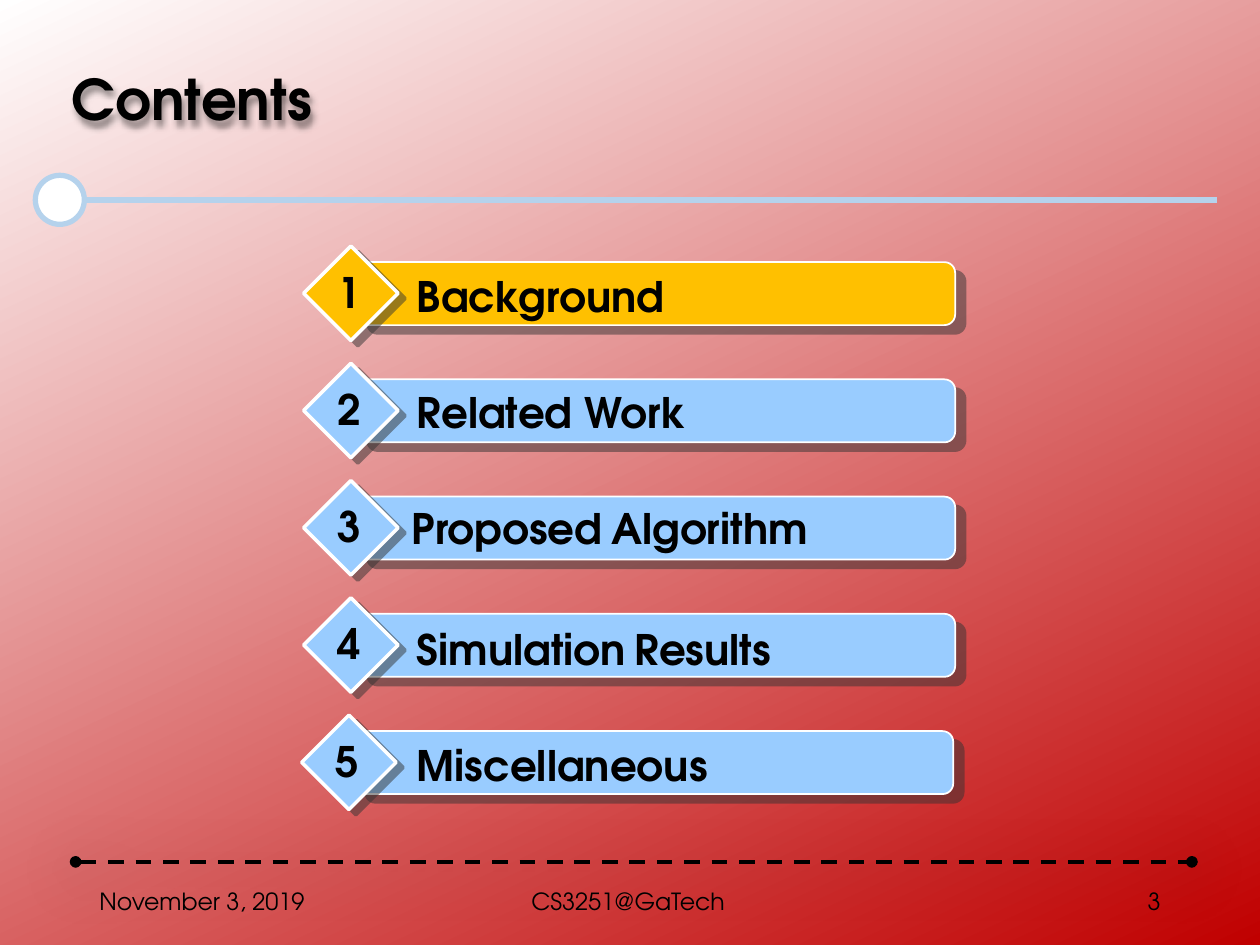
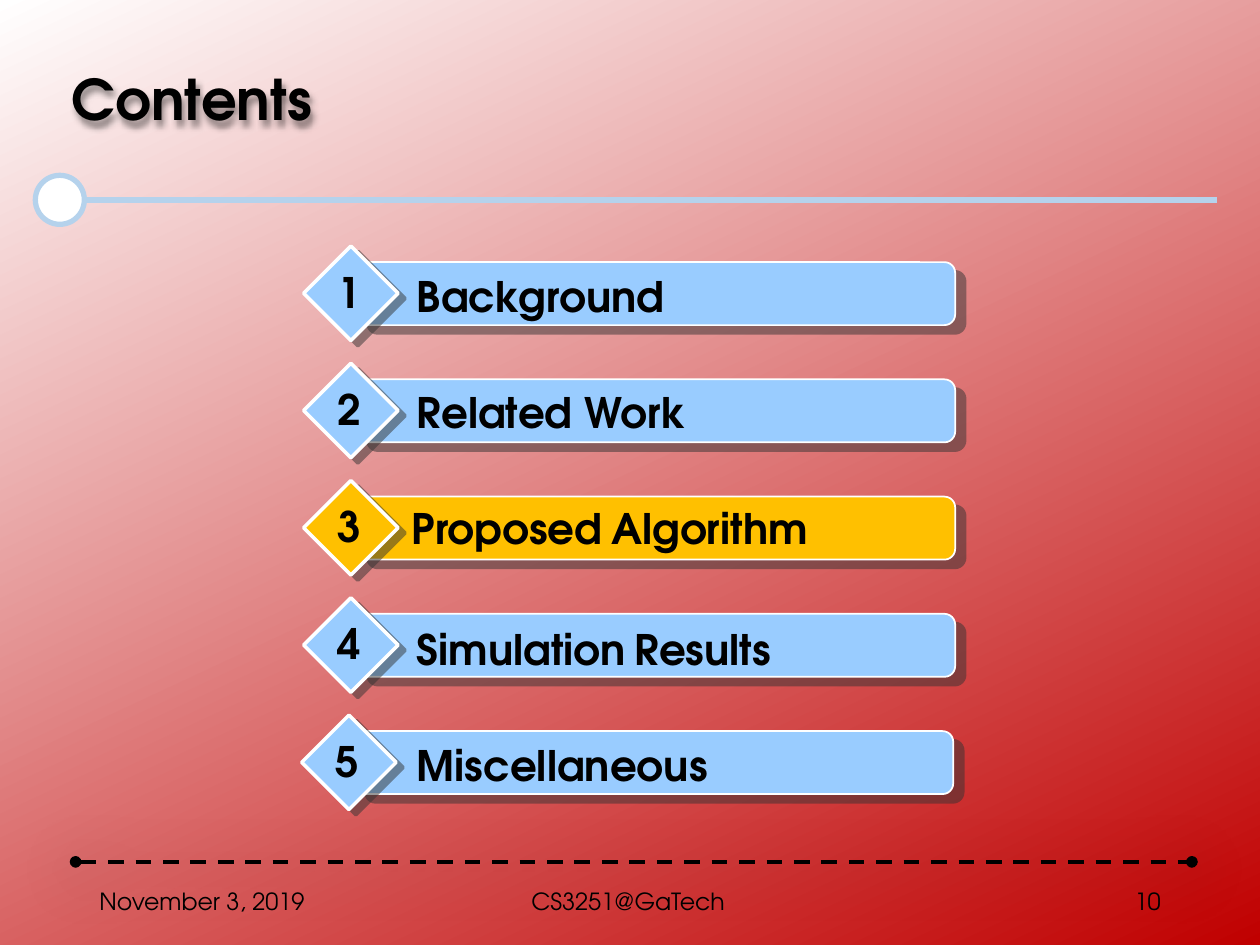
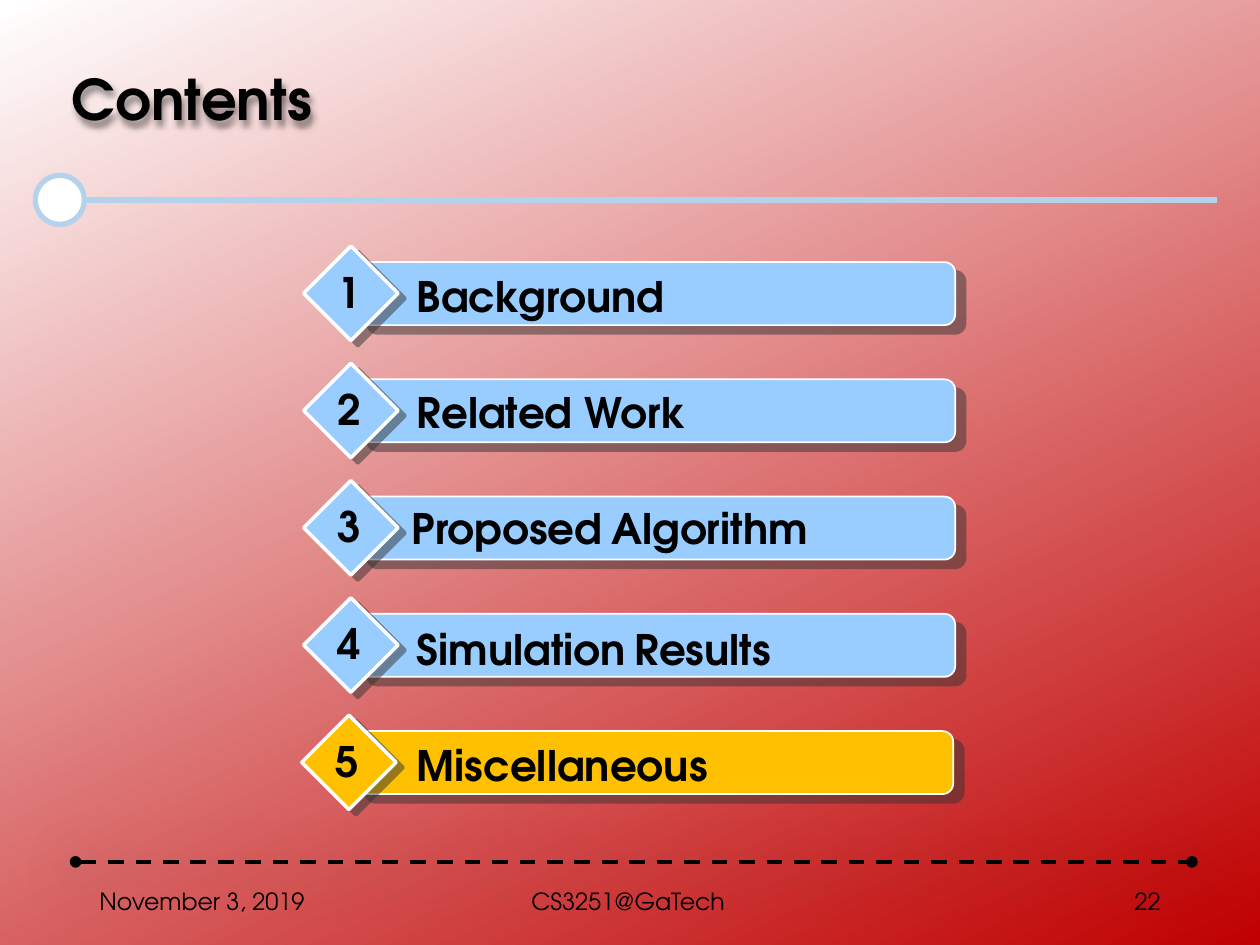
from lxml.etree import SubElement
from pptx import Presentation
from pptx.dml.color import RGBColor
from pptx.enum.dml import MSO_LINE
from pptx.enum.shapes import MSO_CONNECTOR, MSO_SHAPE
from pptx.enum.text import MSO_ANCHOR, MSO_AUTO_SIZE, PP_ALIGN
from pptx.oxml.ns import qn
from pptx.util import Pt

FONT = "TeX Gyre Adventor"
BLACK, WHITE, RED = "000000", "FFFFFF", "C00000"
RULE_BLUE, ITEM_BLUE, HIGHLIGHT = "B5D2EC", "99CCFF", "FFC000"

# Shadows: colour, opacity in percent, blur, distance, direction in degrees
BAR_SHADOW = ("333333", 50, 0, 7.8, 40)
DIAMOND_SHADOW = ("333333", 50, 0, 5, 37)
DASH_SHADOW = (BLACK, 43, 36, 4, 90)
TITLE_SHADOW = (BLACK, 43, 4, 3, 60)

HEADING = {"size": Pt(32), "bold": True}
ITEM = {"size": Pt(24), "bold": True}
ITEM_SPACE = {"size": Pt(18), "bold": False}
FOOTER = {"size": Pt(13.5), "bold": False}

FOOTER_TOP, FOOTER_HEIGHT = 500.4, 28.8
FIRST_BAR_TOP, ITEM_STEP = 149.8, 67

# Runs of the label, label left, label drop below the bar top, sideways shift
ITEMS = [
    (["Background"], 231.1, 1.4, 0),
    (["Related Work"], 231.1, 0.7, 0),
    (["Proposed", " ", "Algorithm"], 228.2, 0, 0),
    (["Simulation", " ", "Results"], 231.1, 2.1, 0),
    (["Miscellaneous"], 231.1, 1.4, -1.1),
]
SLIDES = [(3, 1), (10, 3), (22, 5)]  # page number, highlighted item


def color(hex_string):
    return RGBColor.from_string(hex_string)


def points(*lengths):
    return [Pt(length) for length in lengths]


def set_values(target, values):
    for name, value in values.items():
        setattr(target, name, value)


def set_shadow(shape, shadow=None):
    """Replace the theme shadow by the given one, or by none."""
    effects = SubElement(shape._element.spPr, qn("a:effectLst"))
    if shadow:
        hex_string, opacity, blur, distance, direction = shadow
        outer = SubElement(effects, qn("a:outerShdw"), {
            "blurRad": str(Pt(blur)), "dist": str(Pt(distance)),
            "dir": str(direction * 60000), "algn": "tl", "rotWithShape": "0"})
        fill = SubElement(outer, qn("a:srgbClr"), val=hex_string)
        SubElement(fill, qn("a:alpha"), val=str(opacity * 1000))


class Deck:
    def __init__(self):
        self.presentation = Presentation()
        set_values(self.presentation, {"slide_width": Pt(720), "slide_height": Pt(540)})
        self.slide = None
        background = self.presentation.slide_master.background.fill
        background.gradient()
        background.gradient_angle = 360 - 65
        for stop, hex_string in zip(background.gradient_stops, (WHITE, RED)):
            stop.color.rgb = color(hex_string)

    def new_slide(self, page_number):
        layout = self.presentation.slide_layouts.get_by_name("Title Only")
        self.slide = self.presentation.slides.add_slide(layout)
        self.rules()
        self.title("Contents")
        self.footer("November 3, 2019", 49.7, 162, PP_ALIGN.LEFT)
        self.footer("CS3251@GaTech", 173.5, 370.8, PP_ALIGN.CENTER)
        self.footer(str(page_number), 508.3, 162, PP_ALIGN.RIGHT)

    def add_runs(self, shape, runs, styles, **paragraph_format):
        paragraph = shape.text_frame.paragraphs[0]
        set_values(paragraph, paragraph_format)
        for text, style in zip(runs, styles):
            run = paragraph.add_run()
            run.text = text
            set_values(run.font, {"name": FONT, **style})
            run.font.color.rgb = color(BLACK)

    def text(self, shapes, box, runs, styles, frame_format, alignment=PP_ALIGN.LEFT):
        shape = shapes.add_textbox(*points(*box))
        set_values(shape.text_frame, {"word_wrap": True, **frame_format})
        self.add_runs(shape, runs, styles, alignment=alignment)

    def title(self, text):
        title = self.slide.shapes.title
        left, top, width, height = points(33.8, 6.5, 620.6, 104.4)
        set_values(title, {"left": left, "top": top, "width": width, "height": height})
        set_values(title.text_frame, {"vertical_anchor": MSO_ANCHOR.MIDDLE,
                                      "auto_size": MSO_AUTO_SIZE.NONE})
        self.add_runs(title, [text], [HEADING], alignment=PP_ALIGN.LEFT, line_spacing=0.9)
        set_shadow(title, TITLE_SHADOW)

    def footer(self, text, left, width, alignment):
        self.text(self.slide.shapes, (left, FOOTER_TOP, width, FOOTER_HEIGHT), [text],
                  [FOOTER], {"vertical_anchor": MSO_ANCHOR.MIDDLE}, alignment)

    def shape(self, shapes, kind, box, fill, line, line_width, shadow=None):
        shape = shapes.add_shape(kind, *points(*box))
        shape.fill.solid()
        shape.fill.fore_color.rgb = color(fill)
        shape.line.color.rgb = color(line)
        shape.line.width = Pt(line_width)
        set_shadow(shape, shadow)
        return shape

    def horizontal_line(self, left, right, top, hex_string, width, shadow=None):
        connector = self.slide.shapes.add_connector(
            MSO_CONNECTOR.STRAIGHT, *points(left, top, right, top))
        connector.line.color.rgb = color(hex_string)
        connector.line.width = Pt(width)
        set_shadow(connector, shadow)
        return connector

    def rules(self):
        """Draw the rule below the title and the dashed one above the footer."""
        self.horizontal_line(49.7, 695.5, 114.3, RULE_BLUE, 3)
        self.shape(self.slide.shapes, MSO_SHAPE.OVAL, (20.2, 100.2, 28, 28),
                   WHITE, RULE_BLUE, 3)
        dashes = self.horizontal_line(43.2, 681.1, 492.5, BLACK, 2.25, DASH_SHADOW)
        dashes.line.dash_style = MSO_LINE.DASH
        outline = dashes._element.spPr.find(qn("a:ln"))
        for end in ("a:headEnd", "a:tailEnd"):
            SubElement(outline, qn(end), type="oval")

    def item(self, number, highlighted):
        """Draw one numbered entry of the contents."""
        runs, label_left, label_drop, shift = ITEMS[number - 1]
        top = FIRST_BAR_TOP + (number - 1) * ITEM_STEP
        fill = HIGHLIGHT if highlighted else ITEM_BLUE
        shapes = self.slide.shapes.add_group_shape().shapes
        bar = self.shape(shapes, MSO_SHAPE.ROUNDED_RECTANGLE, (203.8 + shift, top, 342, 36),
                         fill, WHITE, 1, BAR_SHADOW)
        bar.adjustments[0] = 0.17
        self.shape(shapes, MSO_SHAPE.DIAMOND, (173.5 + shift, top - 9.2, 54, 54),
                   fill, WHITE, 2, DIAMOND_SHADOW)
        fit = {"auto_size": MSO_AUTO_SIZE.SHAPE_TO_FIT_TEXT}
        styles = [ITEM_SPACE if text == " " else ITEM for text in runs]
        self.text(shapes, (label_left, top + label_drop, 270, 36.7), runs, styles, fit)
        self.text(shapes, (185.6 + shift, top - 1.3, 28, 36.7), [str(number)], [ITEM],
                  {**fit, "word_wrap": False}, PP_ALIGN.CENTER)


def main():
    deck = Deck()
    for page_number, current_item in SLIDES:
        deck.new_slide(page_number)
        for number in range(1, len(ITEMS) + 1):
            deck.item(number, number == current_item)
    deck.presentation.save("out.pptx")


if __name__ == "__main__":
    main()
